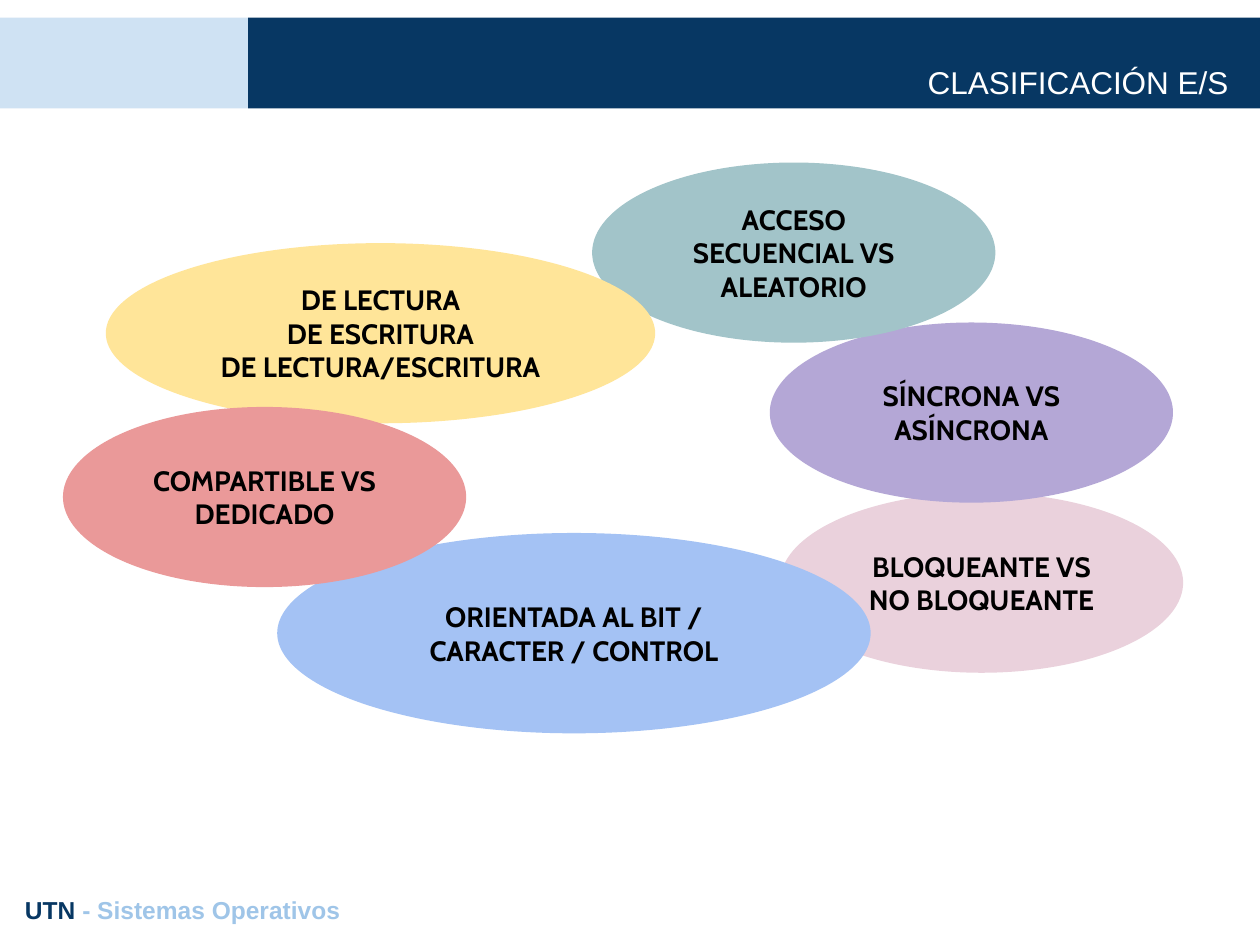
from dataclasses import dataclass

from pptx import Presentation
from pptx.dml.color import RGBColor
from pptx.enum import shapes, text
from pptx.util import Inches, Pt

COLUMNS, ROWS = 100, 75
NAVY, PALE_BLUE, SKY, WHITE, BLACK = "073763", "CFE2F3", "9FC5E8", "FFFFFF", "000000"


@dataclass(frozen=True)
class Area:
    column: float
    row: float
    columns: float
    rows: float


@dataclass(frozen=True)
class Category:
    column: float
    row: float
    fill: str
    lines: tuple[str, ...]
    columns: float = 32
    rows: float = 14.3


@dataclass(frozen=True)
class Span:
    words: str
    color: str


CATEGORIES = (
    Category(61.9, 39.1, "EAD1DC", ("BLOQUEANTE VS NO BLOQUEANTE",)),
    Category(61.1, 25.6, "B4A7D6", ("SÍNCRONA VS ASÍNCRONA",)),
    Category(22, 42.3, "A4C2F4", ("ORIENTADA AL BIT / CARACTER / CONTROL",), 47.1, 15.9),
    Category(47, 12.9, "A2C4C9", ("ACCESO SECUENCIAL VS ALEATORIO",)),
    Category(8.4, 19.3, "FFE599",
             ("DE LECTURA", "DE ESCRITURA", "DE LECTURA/ESCRITURA"), 43.6),
    Category(5, 32.3, "EA9999", ("COMPARTIBLE VS DEDICADO",)),
)

deck = Presentation()
deck.slide_width, deck.slide_height = Inches(10), Inches(7.5)
page = deck.slides.add_slide(deck.slide_layouts[6])


def rgb(value: str) -> RGBColor:
    return RGBColor.from_string(value)


def place(area: Area | Category) -> tuple[int, int, int, int]:
    across, down = deck.slide_width / COLUMNS, deck.slide_height / ROWS
    return (round(area.column * across), round(area.row * down),
            round(area.columns * across), round(area.rows * down))


def draw_shape(kind: shapes.MSO_SHAPE, area: Area | Category, fill: str):
    shape = page.shapes.add_shape(kind, *place(area))
    shape.shadow.inherit = False
    shape.fill.solid()
    shape.fill.fore_color.rgb = rgb(fill)
    shape.line.fill.background()
    return shape


def write(box, paragraphs: list[list[Span]], font: str, size: float, bold: bool,
          align: text.PP_ALIGN, anchor: text.MSO_ANCHOR) -> None:
    frame = box.text_frame
    frame.word_wrap = True
    frame.vertical_anchor = anchor
    frame.margin_left = frame.margin_right = Inches(0.1)
    frame.margin_top = frame.margin_bottom = Inches(0.1)
    for index, spans in enumerate(paragraphs):
        para = frame.add_paragraph() if index else frame.paragraphs[0]
        para.alignment = align
        para.font.name, para.font.size, para.font.bold = font, Pt(size), bold
        for span in spans:
            run = para.add_run()
            run.text = span.words
            run.font.color.rgb = rgb(span.color)


def draw_category(category: Category) -> None:
    ellipse = draw_shape(shapes.MSO_SHAPE.OVAL, category, category.fill)
    write(ellipse, [[Span(line, BLACK)] for line in category.lines], "Cabin", 16, True,
          text.PP_ALIGN.CENTER, text.MSO_ANCHOR.MIDDLE)


def draw_label(area: Area, spans: list[Span], size: float, bold: bool,
               align: text.PP_ALIGN, anchor: text.MSO_ANCHOR) -> None:
    box = page.shapes.add_textbox(*place(area))
    write(box, [spans], "Arial", size, bold, align, anchor)


draw_shape(shapes.MSO_SHAPE.RECTANGLE, Area(0, 1.4, 19.7, 7.2), PALE_BLUE)
draw_shape(shapes.MSO_SHAPE.RECTANGLE, Area(19.7, 1.4, 80.3, 7.2), NAVY)
draw_label(Area(13.5, 4, 85, 5), [Span("CLASIFICACIÓN E/S", WHITE)], 18, False,
           text.PP_ALIGN.RIGHT, text.MSO_ANCHOR.BOTTOM)
for category in CATEGORIES:
    draw_category(category)
draw_label(Area(1, 70, 98, 4.4), [Span("UTN ", NAVY), Span("- Sistemas Operativos", SKY)],
           14, True, text.PP_ALIGN.LEFT, text.MSO_ANCHOR.TOP)

deck.save("out.pptx")
